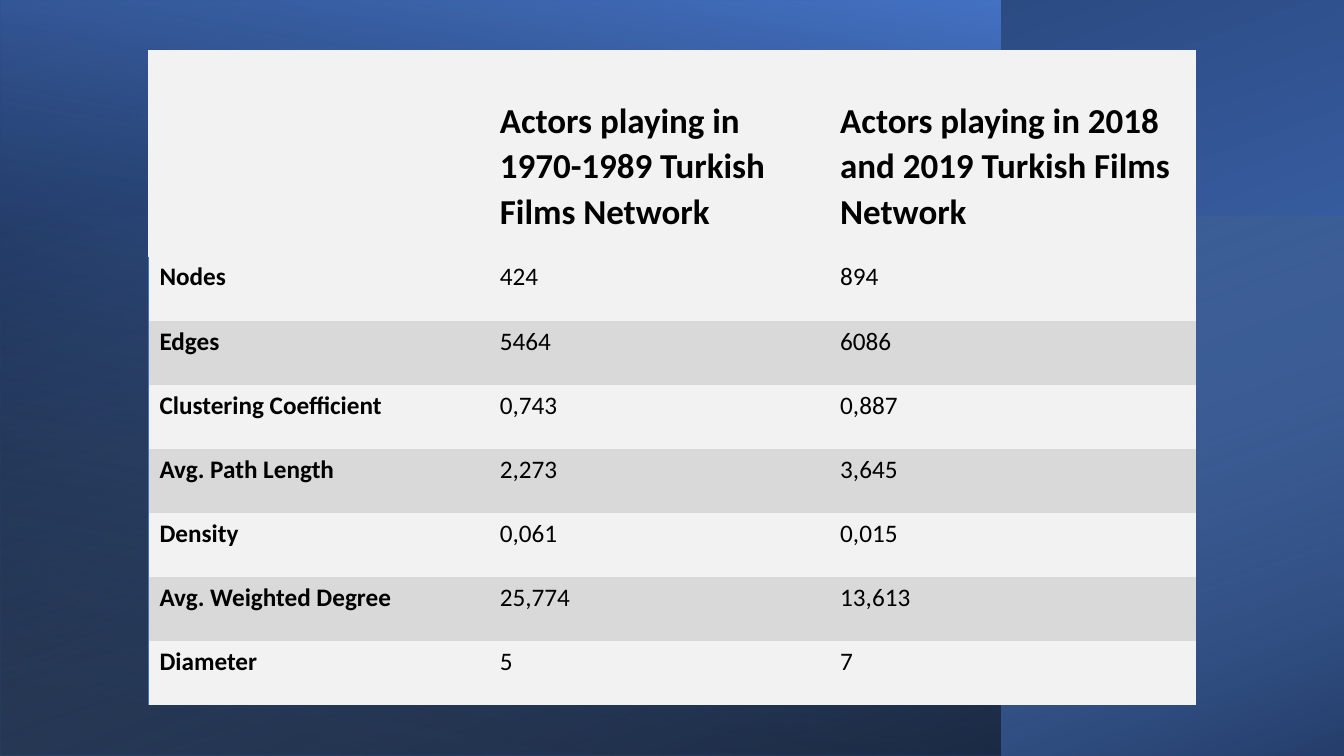
from lxml import etree
from pptx import Presentation, util as u
from pptx.dml.color import RGBColor
from pptx.enum import shapes, text
from pptx.oxml.ns import qn

COLORS = {"blue": "4472C4", "navy": "203864", "sky": "9DC3E6",
          "black": "000000", "light": "F2F2F2", "grey": "D9D9D9"}
WIDTH, HEIGHT = 960, 540
NO_GRID = "{2D5ABB26-0587-4C30-8999-92F81FD0307C}"
HEADINGS = ["", "Actors playing in 1970-1989 Turkish Films Network",
            "Actors playing in 2018 and 2019 Turkish Films Network"]
METRICS = [
    ("Nodes", "424", "894"),
    ("Edges", "5464", "6086"),
    ("Clustering Coefficient", "0,743", "0,887"),
    ("Avg. Path Length", "2,273", "3,645"),
    ("Density", "0,061", "0,015"),
    ("Avg. Weighted Degree", "25,774", "13,613"),
    ("Diameter", "5", "7"),
]


def add_color(parent, color, opacity=100):
    """Append a colour with its opacity in percent to an XML fill part."""
    srgb = etree.SubElement(parent, qn("a:srgbClr"), val=COLORS[color])
    if opacity < 100:
        etree.SubElement(srgb, qn("a:alpha"), val=str(opacity * 1000))


def add_panel(slide, box, rotation, stops, angle):
    """Draw a mirrored, turned rectangle with a gradient that fills the seen box."""
    left, top, width, height = box
    if rotation == 270:
        left, top = left + (width - height) / 2, top + (height - width) / 2
        width, height = height, width
    panel = slide.shapes.add_shape(shapes.MSO_SHAPE.RECTANGLE,
                                   *map(u.Pt, (left, top, width, height)))
    panel.rotation = rotation
    panel.shadow.inherit = False
    panel.line.fill.background()
    panel.fill.background()
    properties = panel.element.spPr
    properties.find(qn("a:xfrm")).set("flipH", "1")
    gradient = etree.Element(qn("a:gradFill"), rotWithShape="1")
    stop_list = etree.SubElement(gradient, qn("a:gsLst"))
    for position, color, opacity in stops:
        stop = etree.SubElement(stop_list, qn("a:gs"), pos=str(position * 1000))
        add_color(stop, color, opacity)
    etree.SubElement(gradient, qn("a:lin"), ang=str(angle * 60000), scaled="0")
    properties.replace(properties.find(qn("a:noFill")), gradient)


def add_backdrop(slide, box):
    """Layer the three gradient panels over the given box."""
    left, top, width, height = box
    lower = 385
    add_panel(slide, box, 270, [(8, "blue", 100), (100, "navy", 100)], 200)
    add_panel(slide, (left, top, 714.25, height), 180,
              [(8, "black", 52), (100, "blue", 100)], 80)
    add_panel(slide, (left, top + height - lower, width, lower), 270,
              [(0, "sky", 0), (100, "black", 46)], 20)


def write_cell(cell, words, *, size=18, bold=False, fill="light",
               anchor=text.MSO_ANCHOR.TOP):
    """Fill a table cell and set its text."""
    cell.margin_left, cell.margin_top = u.Pt(8), u.Pt(2)
    cell.margin_right, cell.margin_bottom = u.Pt(8.5), u.Pt(16.5)
    cell.vertical_anchor = anchor
    cell.fill.solid()
    cell.fill.fore_color.rgb = RGBColor.from_string(COLORS[fill])
    if not words:
        return
    paragraph = cell.text_frame.paragraphs[0]
    paragraph.line_spacing = 1.07
    run = paragraph.add_run()
    run.text = words
    run.font.name, run.font.size, run.font.bold = "Calibri", u.Pt(size), bold
    run.font.color.rgb = RGBColor.from_string(COLORS["black"])


def add_left_border(cell):
    """Draw a thin blue line on the left side of a cell."""
    border = etree.Element(qn("a:lnL"), w=str(u.Pt(1)))
    add_color(etree.SubElement(border, qn("a:solidFill")), "blue")
    cell._tc.get_or_add_tcPr().insert(0, border)


def add_metrics_table(slide, box):
    """Place the network comparison table in the given box."""
    left, top, width, height = box
    heading_height, metric_width = 147.6, 243.1
    frame = slide.shapes.add_table(len(METRICS) + 1, len(HEADINGS),
                                   *map(u.Pt, box))
    table = frame.table
    table.first_row = table.horz_banding = False
    table._tbl.tblPr.find(qn("a:tableStyleId")).text = NO_GRID
    widths = [metric_width, metric_width, width - 2 * metric_width]
    for column, column_width in zip(table.columns, widths):
        column.width = u.Pt(column_width)
    for row in table.rows:
        row.height = u.Pt((height - heading_height) / len(METRICS))
    table.rows[0].height = u.Pt(heading_height)

    for column, heading in enumerate(HEADINGS):
        write_cell(table.cell(0, column), heading, size=25, bold=True,
                   anchor=text.MSO_ANCHOR.BOTTOM)
    for row, metric in enumerate(METRICS, start=1):
        for column, words in enumerate(metric):
            write_cell(table.cell(row, column), words, bold=column == 0,
                       fill="light" if row % 2 else "grey")
        add_left_border(table.cell(row, 0))


def main():
    """Build and save the slide."""
    deck = Presentation()
    deck.slide_width, deck.slide_height = u.Pt(WIDTH), u.Pt(HEIGHT)
    slide = deck.slides.add_slide(deck.slide_layouts[6])
    add_backdrop(slide, (0, 0, WIDTH, HEIGHT))
    add_metrics_table(slide, (106, 36, 748, 468))
    deck.save("out.pptx")


if __name__ == "__main__":
    main()
